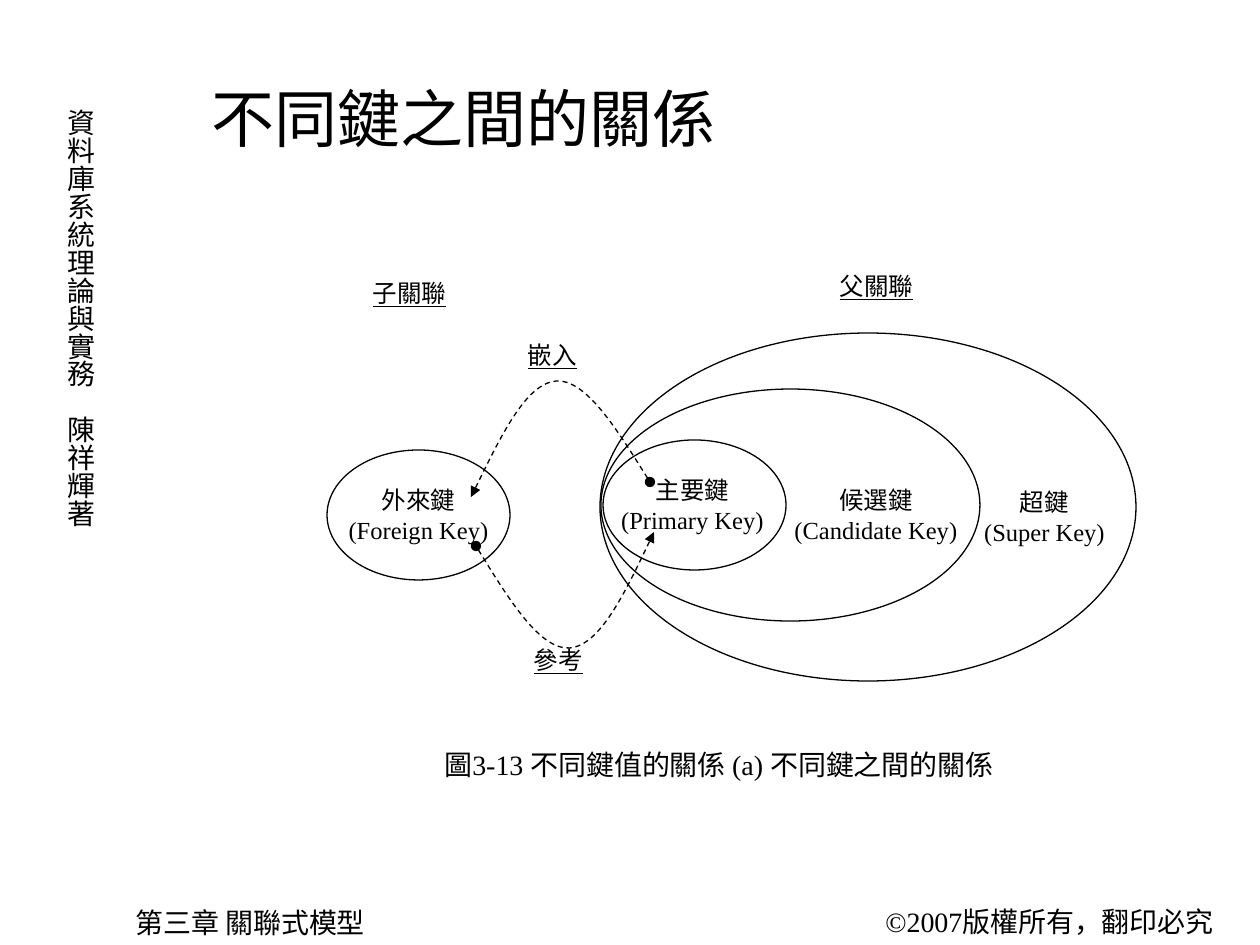
from lxml.etree import SubElement
from pptx import Presentation
from pptx.dml.color import RGBColor
from pptx.enum.dml import MSO_LINE
from pptx.enum.shapes import MSO_SHAPE
from pptx.enum.text import MSO_ANCHOR, PP_ALIGN
from pptx.oxml.ns import qn
from pptx.util import Pt

PX = 914400 / 126
THEME = {
    "ink": RGBColor(0, 0, 0),
    "paper": RGBColor(255, 255, 255),
    "serif": "Times New Roman",
    "sans": "Arial",
    "title": Pt(36),
    "body": Pt(16),
    "label": Pt(14),
    "line": Pt(0.75),
}

prs = Presentation()
prs.slide_width, prs.slide_height = round(1260 * PX), round(945 * PX)
s = prs.slides.add_slide(prs.slide_layouts[6])


def emu(*lengths):
    return [round(v * PX) for v in lengths]


def add_text(text, box, size="body", font="serif", align=PP_ALIGN.LEFT,
             anchor=MSO_ANCHOR.TOP, underline=False, vertical=False):
    tf = s.shapes.add_textbox(*emu(*box)).text_frame
    tf.word_wrap = True
    tf.vertical_anchor = anchor
    if vertical:
        tf._txBody.bodyPr.set("vert", "eaVert")
        tf.margin_left, tf.margin_right, tf.margin_top, tf.margin_bottom = emu(6, 6, 13, 13)
    p = tf.paragraphs[0]
    p.text = text
    p.alignment = align
    for r in p.runs:
        r.font.size = THEME[size]
        r.font.name = THEME[font]
        r.font.color.rgb = THEME["ink"]
        r.font.underline = underline


add_text("資料庫系統理論與實務　陳祥輝著", (45, 96, 58, 448), vertical=True)
add_text("©2007版權所有，翻印必究", (873, 898, 382, 47))
add_text("第三章 關聯式模型", (123, 899, 496, 47))
add_text("不同鍵之間的關係", (199, 38, 1008, 158), size="title", anchor=MSO_ANCHOR.MIDDLE)

keys = [
    ("外來鍵\n(Foreign Key)", (327, 450, 183, 130), (321, 479, 195, 72)),
    ("超鍵\n(Super Key)", (600, 333, 536, 348), (933, 481, 223, 72)),
    ("候選鍵\n(Candidate Key)", (601, 389, 379, 232), (758, 479, 236, 72)),
    ("主要鍵\n(Primary Key)", (603, 440, 183, 130), (595, 469, 195, 72)),
]
for text, oval, box in keys:
    sp = s.shapes.add_shape(MSO_SHAPE.OVAL, *emu(*oval))
    sp.shadow.inherit = False
    sp.fill.solid()
    sp.fill.fore_color.rgb = THEME["paper"]
    sp.line.color.rgb = THEME["ink"]
    sp.line.width = THEME["line"]
    add_text(text, box, size="label", align=PP_ALIGN.CENTER)

curves = [
    [(650, 482), (618, 431), (586, 379), (556, 381), (526, 384), (499, 440), (471, 497)],
    [(476, 546), (508, 598), (540, 650), (570, 648), (600, 645), (627, 589), (654, 532)],
]
for start, *points in curves:
    builder = s.shapes.build_freeform(*start, scale=PX)
    builder.add_line_segments(points, close=False)
    sp = builder.convert_to_shape()
    outline = sp._element.xpath(".//a:path")[0]
    segments = outline.findall(qn("a:lnTo"))
    for i in range(0, len(segments), 3):
        bezier = SubElement(outline, qn("a:cubicBezTo"))
        for segment in segments[i:i + 3]:
            bezier.append(segment[0])
            outline.remove(segment)
    sp.shadow.inherit = False
    sp.fill.background()
    sp.line.color.rgb = THEME["ink"]
    sp.line.width = THEME["line"]
    sp.line.dash_style = MSO_LINE.DASH
    ln = sp.line._get_or_add_ln()
    for end, kind in (("a:headEnd", "oval"), ("a:tailEnd", "triangle")):
        SubElement(ln, qn(end), type=kind)

for text, left, top in [("子關聯", 318, 272), ("父關聯", 785, 265),
                        ("嵌入", 461, 334), ("參考", 467, 639)]:
    add_text(text, (left, top, 183, 43), size="label", font="sans",
             align=PP_ALIGN.CENTER, underline=True)

add_text("圖3-13 不同鍵值的關係 (a) 不同鍵之間的關係", (432, 741, 743, 47))

prs.save("out.pptx")
